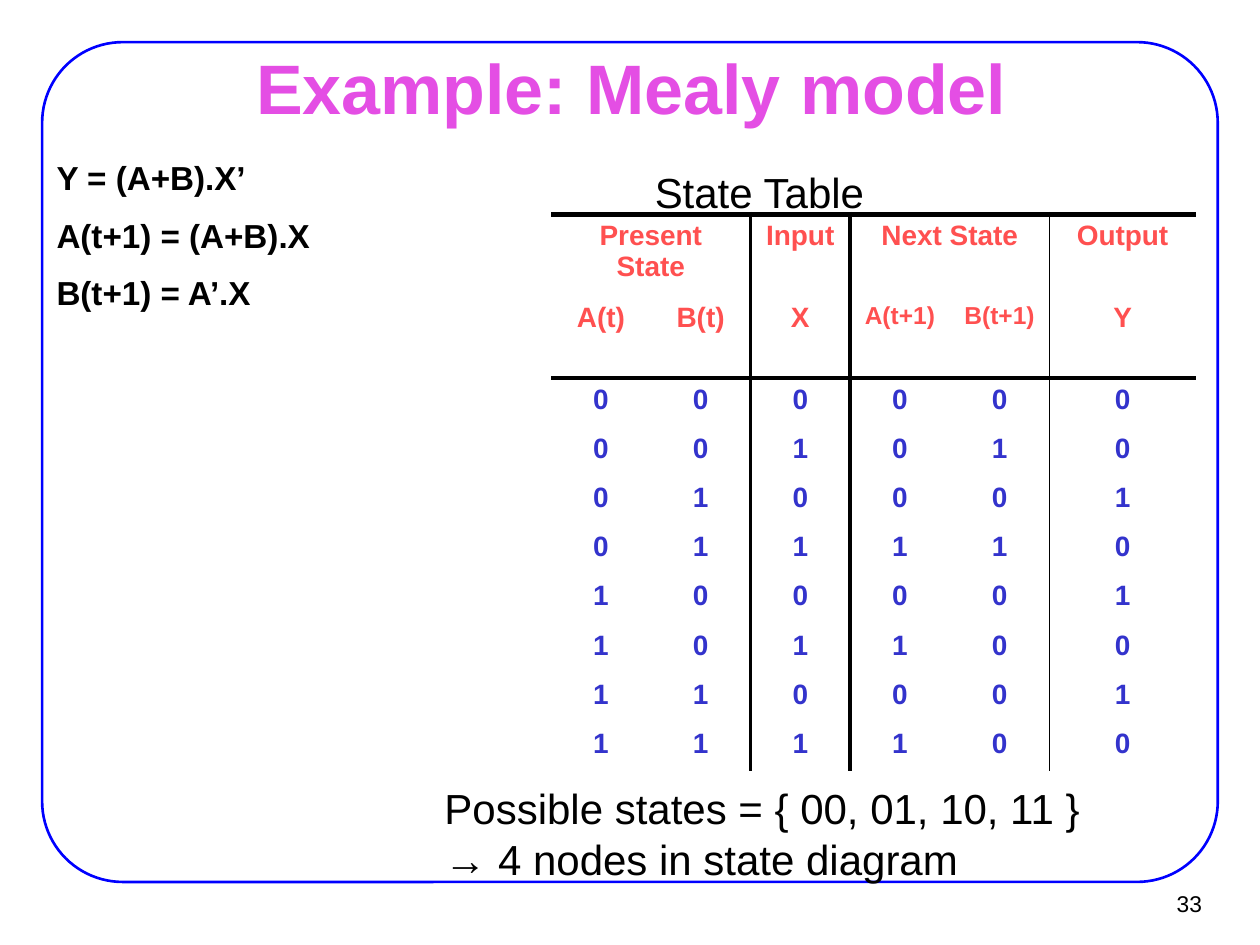
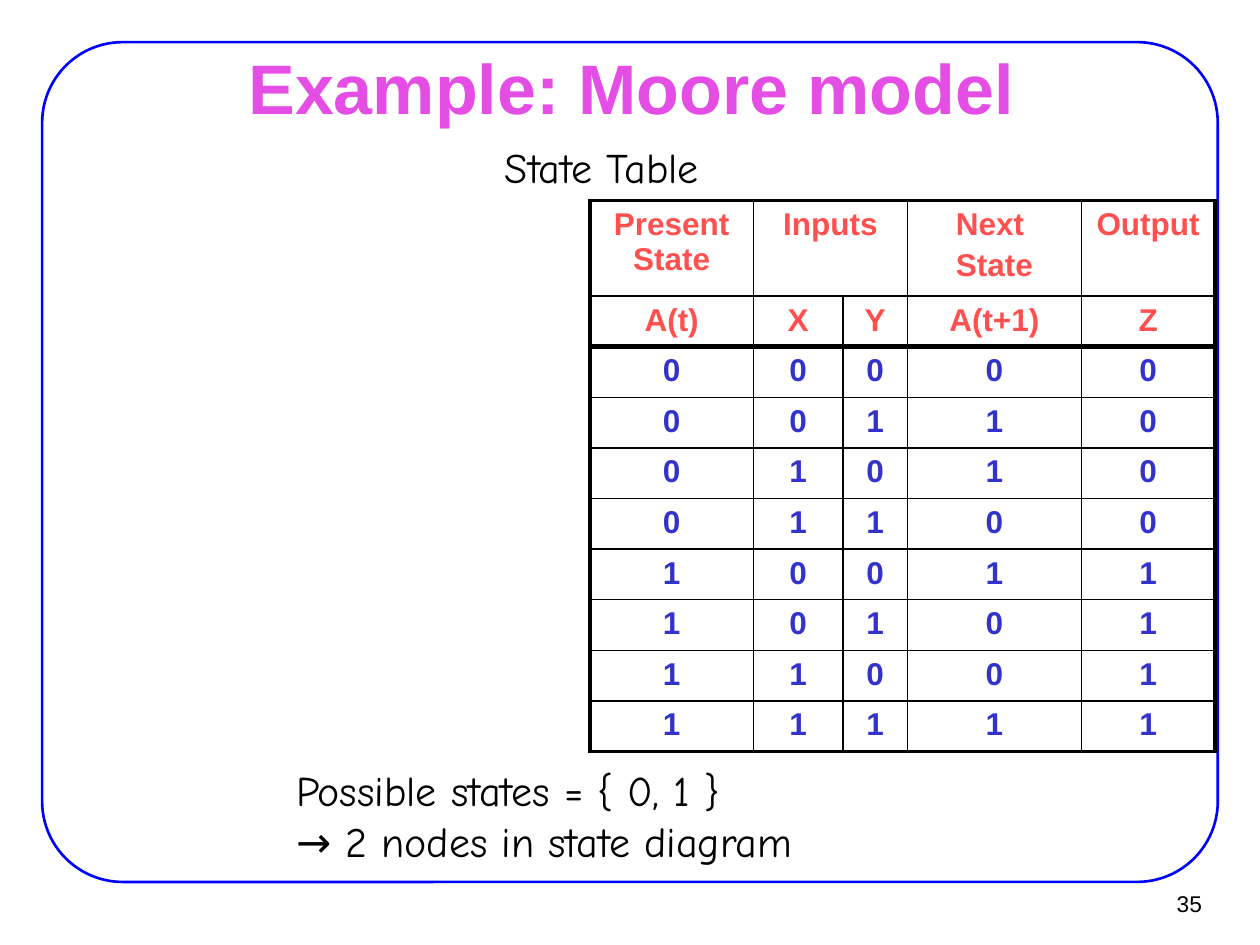
from dataclasses import dataclass, field

from lxml import etree
from pptx import Presentation
from pptx.dml.color import RGBColor
from pptx.enum.shapes import MSO_SHAPE
from pptx.enum.text import MSO_ANCHOR, PP_ALIGN
from pptx.oxml.ns import qn
from pptx.util import Cm, Pt

ROUNDED = MSO_SHAPE.ROUNDED_RECTANGLE
LEFT, CENTER, RIGHT = PP_ALIGN.LEFT, PP_ALIGN.CENTER, PP_ALIGN.RIGHT
TOP, MIDDLE = MSO_ANCHOR.TOP, MSO_ANCHOR.MIDDLE

BLACK, FRAME_BLUE, TITLE_PINK = "000000", "0000FF", "E44EE4"
HEADER_RED, VALUE_BLUE = "FF5050", "3333CC"
NO_STYLE = "{2D5ABB26-0587-4C30-8999-92F81FD0307C}"
HEADER_ROWS = 2


@dataclass
class TextStyle:
    size: float
    color: str = BLACK
    bold: bool = False
    name: str = "Arial"
    align: PP_ALIGN = LEFT
    space_before: float = 0


@dataclass
class TextBlock:
    box: tuple[float, float, float, float]  # left, top, width, height in cm
    lines: list[str]
    style: TextStyle
    anchor: MSO_ANCHOR = TOP
    inset: tuple[float, float] = (0.25, 0.13)
    wrap: bool = True


@dataclass
class StateTable:
    left: float
    top: float
    columns: list[float]
    rows: list[float]
    groups: list[str]  # an empty entry continues the group to its left
    variables: list[str]
    values: list[str]  # one digit for each column
    size: float
    verticals: dict[int, float]  # line widths by grid line
    horizontals: dict[int, float]
    small_sizes: dict[str, float] = field(default_factory=dict)


@dataclass
class ModelSlide:
    title: str
    number: str
    texts: list[TextBlock]
    table: StateTable


def rgb(color: str) -> RGBColor:
    return RGBColor.from_string(color)


def write_lines(text_frame, lines: list[str], style: TextStyle) -> None:
    for index, line in enumerate(lines):
        paragraph = text_frame.paragraphs[0] if index == 0 else text_frame.add_paragraph()
        paragraph.alignment = style.align
        if index and style.space_before:
            paragraph.space_before = Pt(style.space_before)
        run = paragraph.add_run()
        run.text = line
        formats = {"size": Pt(style.size), "bold": style.bold, "name": style.name}
        for attribute, value in formats.items():
            setattr(run.font, attribute, value)
        run.font.color.rgb = rgb(style.color)


def add_text(slide, block: TextBlock) -> None:
    text_frame = slide.shapes.add_textbox(*map(Cm, block.box)).text_frame
    horizontal, vertical = map(Cm, block.inset)
    formats = {
        "word_wrap": block.wrap, "vertical_anchor": block.anchor,
        "margin_left": horizontal, "margin_right": horizontal,
        "margin_top": vertical, "margin_bottom": vertical,
    }
    for attribute, value in formats.items():
        setattr(text_frame, attribute, value)
    write_lines(text_frame, block.lines, block.style)


def add_frame(slide) -> None:
    shape = slide.shapes.add_shape(ROUNDED, Cm(0.85), Cm(0.85), Cm(23.7), Cm(16.93))
    shape.adjustments[0] = 0.096
    shape.shadow.inherit = False
    shape.fill.background()
    shape.line.color.rgb = rgb(FRAME_BLUE)
    shape.line.width = Pt(1.5)


def set_borders(cell, widths: dict[str, float]) -> None:
    properties = cell._tc.get_or_add_tcPr()
    for side, width in widths.items():
        line = etree.SubElement(properties, qn(f"a:ln{side}"), w=str(Pt(width)))
        if width:
            fill = etree.SubElement(line, qn("a:solidFill"))
            etree.SubElement(fill, qn("a:srgbClr"), val=BLACK)
        else:
            etree.SubElement(line, qn("a:noFill"))


def add_state_table(slide, state: StateTable) -> None:
    frame = slide.shapes.add_table(
        len(state.rows), len(state.columns), Cm(state.left), Cm(state.top),
        Cm(sum(state.columns)), Cm(sum(state.rows)))
    table = frame.table
    table._tbl.tblPr.find(qn("a:tableStyleId")).text = NO_STYLE
    table.first_row = table.horz_banding = False
    for column, width in zip(table.columns, state.columns):
        column.width = Cm(width)
    for row, height in zip(table.rows, state.rows):
        row.height = Cm(height)

    # Join each heading with the empty entry after it
    for index, group in enumerate(state.groups):
        if not group:
            table.cell(0, index - 1).merge(table.cell(0, index))

    for row, entries in enumerate([state.groups, state.variables, *state.values]):
        color = HEADER_RED if row < HEADER_ROWS else VALUE_BLUE
        for column, entry in enumerate(entries):
            cell = table.cell(row, column)
            if cell.is_spanned:
                continue
            set_borders(cell, {
                "L": state.verticals.get(column, 0),
                "R": state.verticals.get(column + cell.span_width, 0),
                "T": state.horizontals.get(row, 0),
                "B": state.horizontals.get(row + 1, 0),
            })
            cell.fill.background()
            size = state.small_sizes.get(entry, state.size)
            style = TextStyle(size, color, True, align=CENTER, space_before=size / 5)
            write_lines(cell.text_frame, entry.split("\n"), style)


def add_model_slide(presentation, model: ModelSlide) -> None:
    slide = presentation.slides.add_slide(presentation.slide_layouts[6])
    add_frame(slide)
    add_text(slide, TextBlock((22.91, 17.75, 1.55, 0.94), [model.number],
                              TextStyle(13, align=RIGHT), MIDDLE, (0.23, 0.1), False))
    add_text(slide, TextBlock((1.93, 1.12, 21.59, 1.24), [model.title],
                              TextStyle(40, TITLE_PINK, True, align=CENTER),
                              MIDDLE, (0.28, 0.15)))
    for block in model.texts:
        add_text(slide, block)
    add_state_table(slide, model.table)


PLAIN = TextStyle(24)
HANDWRITTEN = TextStyle(24, name="Comic Neue")
EQUATION = TextStyle(19, bold=True, space_before=10)

MEALY = ModelSlide(
    "Example: Mealy model", "33",
    [
        TextBlock((12.95, 3.23, 10.59, 1.27), ["State Table"], PLAIN),
        TextBlock((8.71, 15.65, 13.97, 2.31),
                  ["Possible states = { 00, 01, 10, 11 }", "→ 4 nodes in state diagram"],
                  PLAIN),
        TextBlock((0.89, 3.05, 7.01, 3.51),
                  ["Y = (A+B).X’", "A(t+1) = (A+B).X", "B(t+1) = A’.X"], EQUATION),
    ],
    StateTable(
        11.11, 4.32, [2.01] * 5 + [2.95], [1.65] * 2 + [0.99] * 8,
        ["Present State", "", "Input", "Next State", "", "Output"],
        ["A(t)", "B(t)", "X", "A(t+1)", "B(t+1)", "Y"],
        ["000000", "001010", "010001", "011110", "100001", "101100", "110001", "111100"],
        16, {2: 1.5, 3: 3, 5: 1}, {0: 3, 2: 3},
        {"A(t+1)": 14, "B(t+1)": 14}),
)

MOORE = ModelSlide(
    "Example: Moore model", "35",
    [
        TextBlock((9.93, 2.72, 10.59, 1.27), ["State Table"], HANDWRITTEN),
        TextBlock((5.72, 15.29, 13.97, 2.62),
                  ["Possible states = { 0, 1 }", "→ 2 nodes in state diagram"], HANDWRITTEN),
    ],
    StateTable(
        11.89, 4.04, [3.3, 1.8, 1.3, 3.51, 2.69], [1.93] + [1.02] * 9,
        ["Present State", "Inputs", "", "Next \nState", "Output"],
        ["A(t)", "X", "Y", "A(t+1)", "Z"],
        ["00000", "00110", "01010", "01100", "10011", "10101", "11001", "11111"],
        18, {0: 2.25, 1: 1, 2: 1, 3: 1, 4: 1, 5: 2.25},
        {**dict.fromkeys(range(1, 10), 1), 0: 2.25, 2: 3, 10: 2.25}),
)


def main() -> None:
    presentation = Presentation()
    presentation.slide_width, presentation.slide_height = Cm(25.4), Cm(19.05)
    for model in (MEALY, MOORE):
        add_model_slide(presentation, model)
    presentation.save("out.pptx")


if __name__ == "__main__":
    main()
